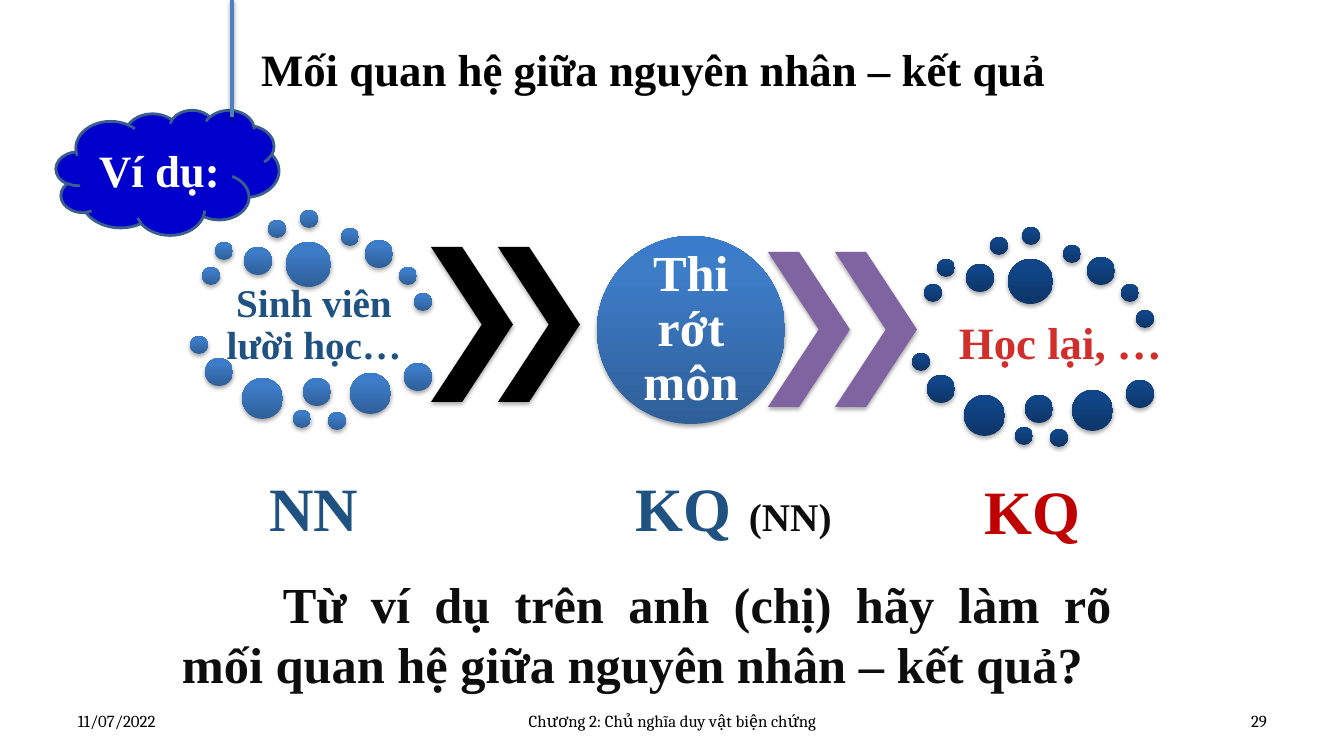
from copy import deepcopy
from dataclasses import dataclass

from lxml import etree
from pptx import Presentation
from pptx import util as u
from pptx.dml import color as c
from pptx.enum import shapes, text
from pptx.oxml import ns

TITLE = ("Mối quan hệ giữa nguyên nhân – kết quả", (251, 37, 900, 65))
EXAMPLE = ("Ví dụ:", (56, 110, 223, 125))
CAUSE = ("Sinh viên lười học…", (203, 289, 222, 73))
EVENT = ("Thi rớt môn", (597, 236, 188, 188))
RESULT = ("Học lại, …", (955, 305, 222, 73))
CAUSE_LABEL = ("NN", (203, 443, 222, 137))
EVENT_LABEL = ("KQ ", (580, 443, 222, 137))
EVENT_ROLE = ("(NN)", (739, 487, 104, 57))
RESULT_LABEL = ("KQ ", (929, 446, 222, 137))
QUESTION = (
    "Từ ví dụ trên anh (chị) hãy làm rõ mối quan hệ giữa nguyên nhân – kết quả? ",
    (172, 568, 950, 132),
)
FOOTERS = [
    ("11/07/2022", (68, 701, 313, 40), "LEFT"),
    ("Chương 2: Chủ nghĩa duy vật biện chứng", (460, 701, 425, 40), "CENTER"),
    ("29", (964, 701, 313, 40), "RIGHT"),
]
DOTS = [
    (202, 267, 18), (215, 242, 18), (244, 247, 28), (268, 220, 18), (300, 210, 18),
    (341, 228, 18), (365, 240, 28), (399, 267, 18), (414, 293, 18), (286, 242, 45),
    (190, 336, 18), (205, 358, 28), (242, 378, 41), (293, 410, 18), (303, 378, 28),
    (328, 412, 18), (350, 373, 41), (404, 363, 28),
]
RESULT_SHIFT = (722, 17)
CHEVRON_SIZE, CHEVRON_STEP = (82, 155), 67
CAUSE_CHEVRONS, RESULT_CHEVRONS = (431, 247), (768, 252)
HANGER = (232, 0, 232, 117)


@dataclass(frozen=True)
class Theme:
    serif: str = "Times New Roman"
    footer_font: str = "Cambria"
    black: str = "000000"
    white: str = "FFFFFF"
    ink: str = "0D0D0D"
    navy: str = "1F5281"
    red: str = "C00000"
    purple: str = "8064A2"
    cloud: str = "0000CC"
    cloud_line: str = "3A5F8C"
    hanger: str = "4F81BD"
    blue: tuple = ((0, "2F5F99"), (0.8, "3D7CC7"), (1, "3A7CCB"))
    dark_blue: tuple = ((0, "0D3568"), (0.8, "104587"), (1, "0E458A"))
    glow_red: tuple = ((0, "FC7C7A"), (0.75, "D02F2C"), (1, "C70500"))
    footer: int = 12
    note: int = 28
    heading: int = 32
    large: int = 36
    label: int = 44


theme = Theme()


def px(value):
    return u.Emu(round(value * 914400 / 100.8))


def rgb(value):
    return c.RGBColor.from_string(value)


def paint(fill, holder, colour, angle=90):
    if isinstance(colour, str):
        fill.solid()
        fill.fore_color.rgb = rgb(colour)
        return
    fill.gradient()
    fill.gradient_angle = angle
    stop_list = holder.find(".//" + ns.qn("a:gsLst"))
    stop_list.insert(1, deepcopy(stop_list[0]))
    for stop, (position, value) in zip(fill.gradient_stops, colour):
        stop.position = position
        stop.color.rgb = rgb(value)


def add_shadow(shape):
    properties = shape._element.spPr
    for old in properties.findall(ns.qn("a:effectLst")):
        properties.remove(old)
    effects = etree.SubElement(properties, ns.qn("a:effectLst"))
    shadow = etree.SubElement(effects, ns.qn("a:outerShdw"), blurRad="40000",
                              dist="23000", dir="5400000", rotWithShape="0")
    black = etree.SubElement(shadow, ns.qn("a:srgbClr"), val=theme.black)
    etree.SubElement(black, ns.qn("a:alpha"), val="35000")


def write(shape, content, size, colour, font=theme.serif, bold=True, align="CENTER",
          anchor="MIDDLE", inset=None, spacing=None, wrap=True, indent=0):
    frame = shape.text_frame
    frame.auto_size = text.MSO_AUTO_SIZE.NONE
    frame.word_wrap = wrap
    frame.vertical_anchor = getattr(text.MSO_ANCHOR, anchor)
    if inset is not None:
        frame.margin_left = frame.margin_right = px(inset)
        frame.margin_top = frame.margin_bottom = px(inset)
    paragraph = frame.paragraphs[0]
    paragraph.alignment = getattr(text.PP_ALIGN, align)
    if spacing:
        paragraph.line_spacing = spacing
    if indent:
        paragraph._p.get_or_add_pPr().set("indent", str(px(indent)))
    run = paragraph.add_run()
    run.text = content
    run.font.name, run.font.size, run.font.bold = font, u.Pt(size), bold
    paint(run.font.fill, run._r, colour, 270)


def add_text(slide, item, size, colour, **options):
    content, box = item
    shape = slide.shapes.add_textbox(*map(px, box))
    write(shape, content, size, colour, **options)


def add_filled(slide, kind, box, colour, shadow=True):
    shape = slide.shapes.add_shape(kind, *map(px, box))
    shape.shadow.inherit = False
    paint(shape.fill, shape._element.spPr, colour)
    shape.line.fill.background()
    if shadow:
        add_shadow(shape)
    return shape


def add_dots(slide, colour, shift=(0, 0)):
    for left, top, size in DOTS:
        add_filled(slide, shapes.MSO_SHAPE.OVAL,
                   (left + shift[0], top + shift[1], size, size), colour)


def add_chevrons(slide, start, colour):
    for index in range(2):
        box = (start[0] + index * CHEVRON_STEP, start[1], *CHEVRON_SIZE)
        chevron = add_filled(slide, shapes.MSO_SHAPE.CHEVRON, box, colour)
        chevron.adjustments[0] = 0.62


def add_title(slide):
    title = slide.shapes.title
    title.left, title.top, title.width, title.height = map(px, TITLE[1])
    paint(title.fill, title._element.spPr, theme.white)
    title.line.color.rgb = rgb(theme.white)
    title.line.width = u.Pt(0.75)
    write(title, TITLE[0], theme.heading, theme.black, align="LEFT", anchor="TOP")


def add_example(slide):
    cloud = add_filled(slide, shapes.MSO_SHAPE.CLOUD, EXAMPLE[1], theme.cloud, shadow=False)
    cloud.line.color.rgb = rgb(theme.cloud_line)
    cloud.line.width = u.Pt(2)
    write(cloud, EXAMPLE[0], theme.heading, theme.white)
    hanger = slide.shapes.add_connector(shapes.MSO_CONNECTOR.STRAIGHT, *map(px, HANGER))
    hanger.line.color.rgb = rgb(theme.hanger)
    hanger.line.width = u.Pt(3)
    add_shadow(hanger)


def main():
    presentation = Presentation()
    presentation.slide_width, presentation.slide_height = px(1344), px(756)
    slide = presentation.slides.add_slide(presentation.slide_layouts[5])
    add_title(slide)
    for content, box, align in FOOTERS:
        add_text(slide, (content, box), theme.footer, theme.black,
                 font=theme.footer_font, bold=False, align=align)
    add_text(slide, QUESTION, theme.large, theme.ink, align="JUSTIFY", anchor="TOP", indent=101)

    add_text(slide, CAUSE, theme.note, theme.navy, inset=4, spacing=0.9)
    add_dots(slide, theme.blue)
    add_chevrons(slide, CAUSE_CHEVRONS, theme.black)
    event = add_filled(slide, shapes.MSO_SHAPE.OVAL, EVENT[1], theme.blue)
    write(event, EVENT[0], theme.large, theme.white, inset=0, spacing=0.9)

    add_text(slide, RESULT, theme.heading, theme.glow_red, inset=4, align="LEFT")
    add_dots(slide, theme.dark_blue, RESULT_SHIFT)
    add_chevrons(slide, RESULT_CHEVRONS, theme.purple)

    for item, colour in ((CAUSE_LABEL, theme.navy), (EVENT_LABEL, theme.navy),
                         (RESULT_LABEL, theme.red)):
        add_text(slide, item, theme.label, colour, inset=6, spacing=0.9)
    add_text(slide, EVENT_ROLE, theme.note, theme.ink, align="LEFT", anchor="TOP", wrap=False)
    add_example(slide)
    presentation.save("out.pptx")


if __name__ == "__main__":
    main()
